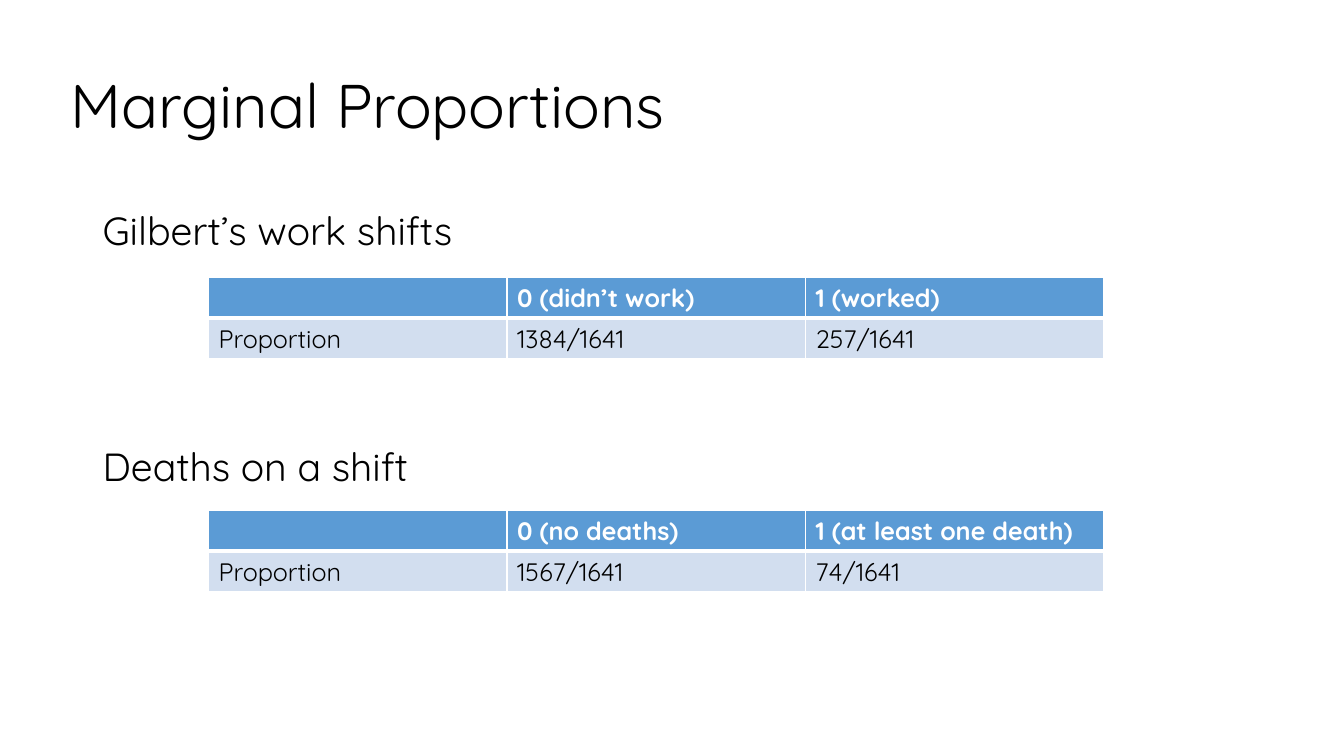
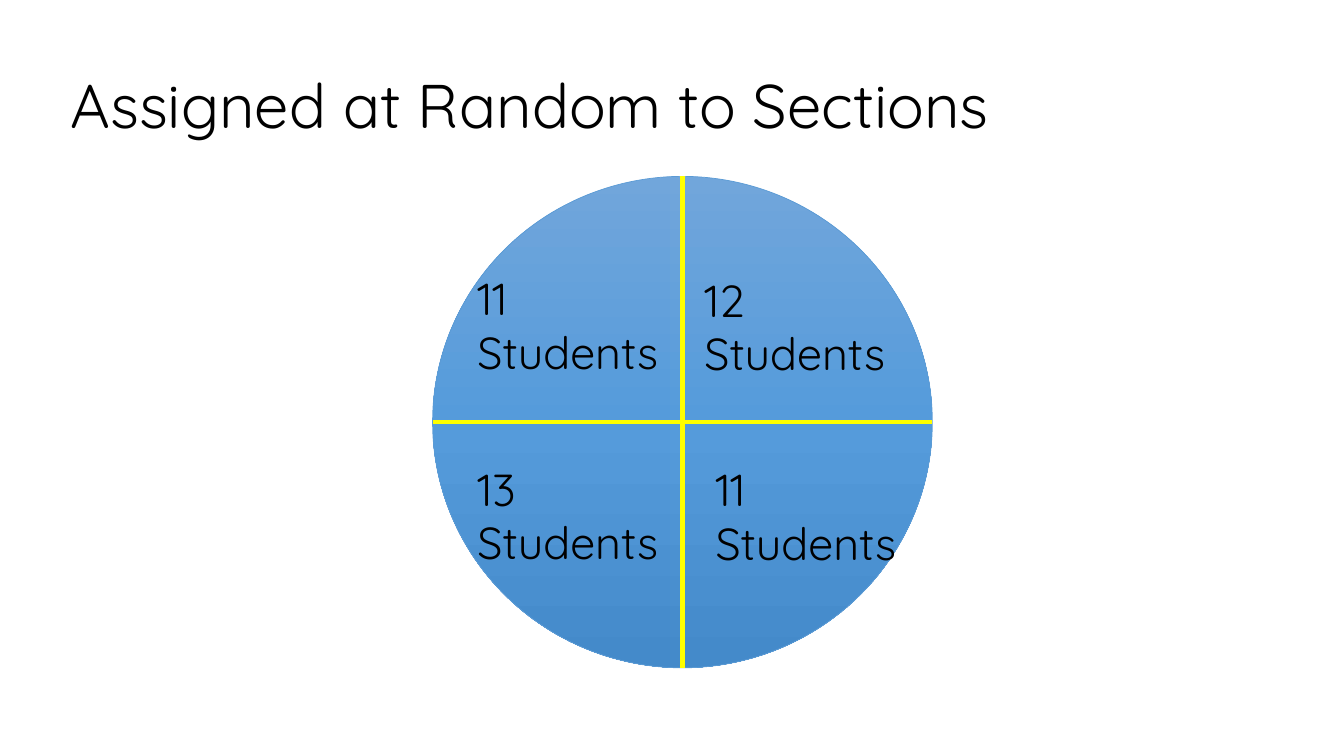
from copy import deepcopy

from lxml import etree
from pptx import Presentation
from pptx.dml.color import RGBColor
from pptx.enum.shapes import MSO_CONNECTOR, MSO_SHAPE
from pptx.enum.text import MSO_ANCHOR
from pptx.oxml.ns import qn
from pptx.util import Pt

LINE, OVAL = MSO_CONNECTOR.STRAIGHT, MSO_SHAPE.OVAL
TOP, MIDDLE = MSO_ANCHOR.TOP, MSO_ANCHOR.MIDDLE

# Shared look
COLORS = {"ink": "000000", "white": "FFFFFF", "head": "5B9BD5",
          "band": "D2DEEF", "cross": "FFFF00"}
FONT = "Quicksand"
TITLE = (43.2, 25.2, 850, 104.4)

# Content: heading, heading top, table top, rows
TABLES = [
    ("Gilbert’s work shifts", 144, 198,
     [("", "0 (didn’t work)", "1 (worked)"),
      ("Proportion", "1384/1641", "257/1641")]),
    ("Deaths on a shift", 312.5, 364.3,
     [("", "0 (no deaths)", "1 (at least one death)"),
      ("Proportion", "1567/1641", "74/1641")]),
]
LEFT, COL, ROW = 149, 213.2, 29.2

CIRCLE = (309, 126, 357, 351)
STOPS = [(0, "71A6DB"), (0.5, "559BDB"), (1, "448ACA")]
# Students in a section, left, top, width
PARTS = [("11", 334, 190, 153), ("12", 496, 191, 162),
         ("13", 334, 326, 153), ("11", 504, 326.5, 151)]


def rgb(name):
    return RGBColor.from_string(COLORS.get(name, name))


def style(para, size, color="ink", bold=False):
    look = {"name": FONT, "size": Pt(size), "bold": bold}
    for key, value in look.items():
        setattr(para.font, key, value)
    para.font.color.rgb = rgb(color)


def add_text(slide, box, lines, size, anchor=TOP, space=1.0):
    frame = slide.shapes.add_textbox(*map(Pt, box)).text_frame
    frame.word_wrap = True
    frame.vertical_anchor = anchor
    frame.text = "\n".join(lines)
    for para in frame.paragraphs:
        para.line_spacing = space
        style(para, size)


def add_slide(deck, title):
    slide = deck.slides.add_slide(deck.slide_layouts[6])
    add_text(slide, TITLE, [title], 44, MIDDLE, 0.9)
    return slide


def add_edges(cell, widths):
    props = cell._tc.get_or_add_tcPr()
    for at, (side, width) in enumerate(widths.items()):
        edge = etree.Element(qn(f"a:ln{side}"), w=str(Pt(width)))
        fill = etree.SubElement(edge, qn("a:solidFill"))
        etree.SubElement(fill, qn("a:srgbClr"), val=COLORS["white"])
        props.insert(at, edge)


def add_table(slide, top, rows):
    count, wide = len(rows), len(rows[0])
    box = (LEFT, top, COL * wide, ROW * count)
    table = slide.shapes.add_table(count, wide, *map(Pt, box)).table
    for col in table.columns:
        col.width = Pt(COL)
    for r, row in enumerate(rows):
        head = r == 0
        table.rows[r].height = Pt(ROW)
        for c, text in enumerate(row):
            cell = table.cell(r, c)
            cell.text = text
            style(cell.text_frame.paragraphs[0], 18,
                  "white" if head else "ink", head)
            cell.fill.solid()
            cell.fill.fore_color.rgb = rgb("head" if head else "band")
            add_edges(cell, {"L": 1, "R": 1, "T": 1 if head else 3,
                             "B": 3 if head else 1})


def add_circle(slide):
    oval = slide.shapes.add_shape(OVAL, *map(Pt, CIRCLE))
    oval.shadow.inherit = False
    oval.line.color.rgb = rgb("head")
    oval.line.width = Pt(0.5)
    oval.fill.gradient()
    oval.fill.gradient_angle = 270
    # The default gradient has two stops; a third is needed
    stops = oval._element.spPr.find(".//" + qn("a:gsLst"))
    stops.append(deepcopy(stops[0]))
    for stop, (place, color) in zip(oval.fill.gradient_stops, STOPS):
        stop.position = place
        stop.color.rgb = rgb(color)


def add_line(slide, ends):
    line = slide.shapes.add_connector(LINE, *map(Pt, ends))
    line.line.color.rgb = rgb("cross")
    line.line.width = Pt(3.25)
    etree.SubElement(line._element.spPr, qn("a:effectLst"))


def main():
    deck = Presentation()
    deck.slide_width, deck.slide_height = Pt(960), Pt(540)

    # Tables of proportions
    slide = add_slide(deck, "Marginal Proportions")
    for name, y, top, rows in TABLES:
        add_text(slide, (66.2, y, 828, 45), [name], 28)
        add_table(slide, top, rows)

    # Circle in four sections
    slide = add_slide(deck, "Assigned at Random to Sections")
    add_circle(slide)
    x, y, w, h = CIRCLE
    midx, midy = x + w / 2, y + h / 2
    add_line(slide, (midx, y, midx, y + h))
    add_line(slide, (x, midy, x + w, midy))
    for count, left, top, width in PARTS:
        add_text(slide, (left, top, width, 85), [count, "Students"], 32)

    deck.save("out.pptx")


if __name__ == "__main__":
    main()
